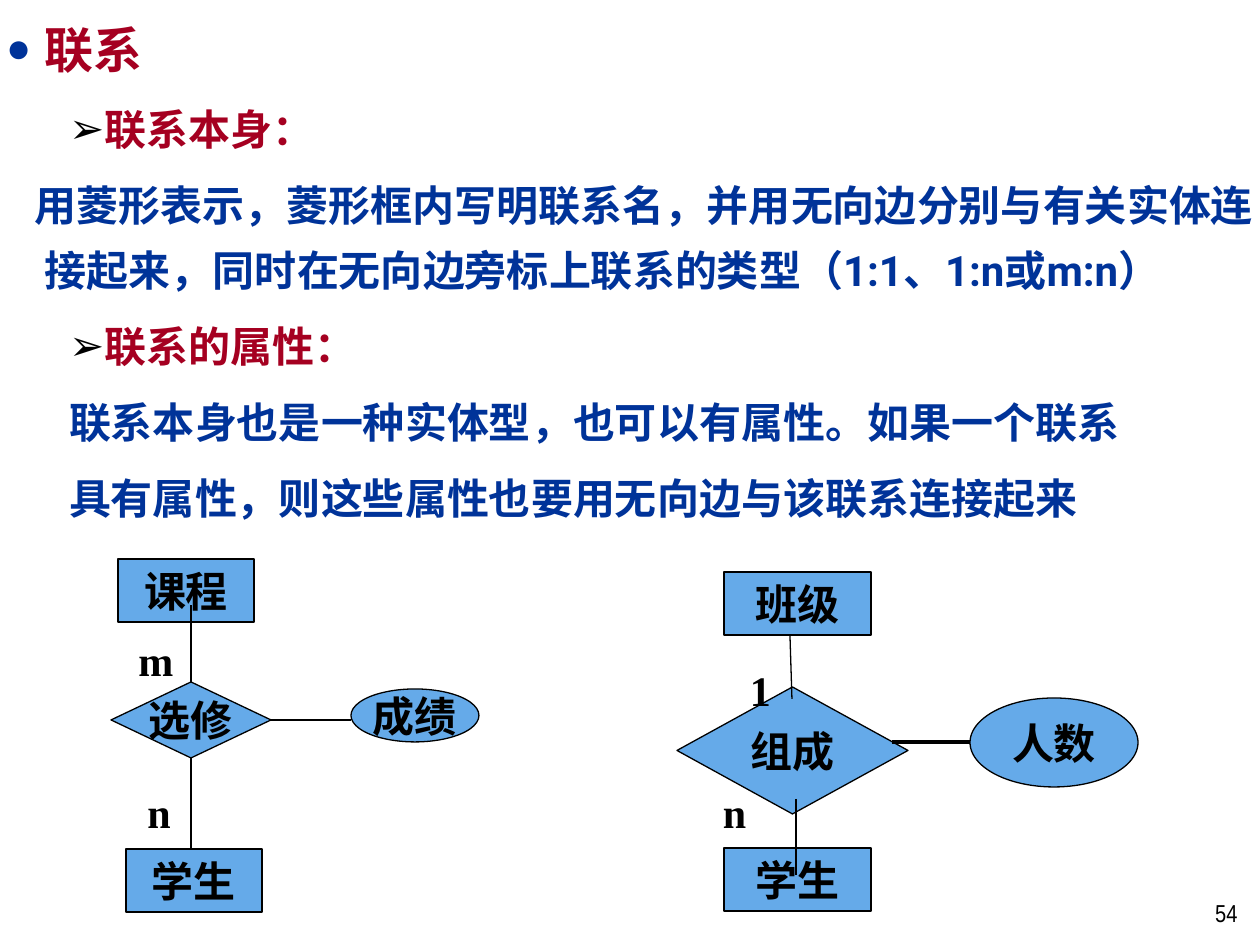
from lxml import etree
from pptx import Presentation, util as u
from pptx.dml.color import RGBColor
from pptx.enum import shapes, text
from pptx.oxml.ns import qn

HUES = {"blue": "003399", "red": "A50021", "black": "000000", "node": "65AAE9"}
KIND = shapes.MSO_SHAPE
MID = text.MSO_ANCHOR.MIDDLE
TOP = text.MSO_ANCHOR.TOP


def px(n):
    return round(n * 914400 / 126)


def hue(name):
    return RGBColor.from_string(HUES[name])


def style(para, size, face, color, bold=True):
    font = para.font
    font.size, font.name, font.bold = u.Pt(size), face, bold
    font.color.rgb = hue(color)


def write(shape, words, size=24, face="Times New Roman", bold=True,
          align=text.PP_ALIGN.CENTER, wrap=True, anchor=MID):
    frame = shape.text_frame
    frame.word_wrap, frame.vertical_anchor = wrap, anchor
    para = frame.paragraphs[0]
    para.text, para.alignment = words, align
    style(para, size, face, "black", bold)


def node(group, kind, words, box):
    shape = group.shapes.add_shape(kind, *map(px, box))
    shape.shadow.inherit = False
    shape.fill.solid()
    shape.fill.fore_color.rgb = hue("node")
    shape.line.color.rgb = hue("black")
    shape.line.width = u.Pt(0.75)
    write(shape, words, wrap=False)
    return shape


def label(group, words, box):
    write(group.shapes.add_textbox(*map(px, box)), words)


def edge(group, ends, width=0.75, join=None):
    line = group.shapes.add_connector(
        shapes.MSO_CONNECTOR.STRAIGHT, *map(px, ends))
    line.line.color.rgb = hue("black")
    line.line.width = u.Pt(width)
    etree.SubElement(line._element.spPr, qn("a:effectLst"))
    if join:
        line.begin_connect(*join)


def bullet(para, mark, color, left, indent, scale=100):
    props = para._p.get_or_add_pPr()
    props.set("marL", str(px(left)))
    props.set("indent", str(px(indent)))
    if not mark:
        etree.SubElement(props, qn("a:buNone"))
        return
    tint = etree.SubElement(props, qn("a:buClr"))
    etree.SubElement(tint, qn("a:srgbClr"), val=HUES[color])
    etree.SubElement(props, qn("a:buSzPct"), val=str(scale * 1000))
    etree.SubElement(props, qn("a:buChar"), char=mark)


def outline(body):
    body.left, body.top, body.width, body.height = map(px, (-82, 0, 1368, 605))
    frame = body.text_frame
    frame.word_wrap = True
    frame.auto_size = text.MSO_AUTO_SIZE.NONE
    frame.vertical_anchor = TOP
    frame.margin_left = frame.margin_right = px(25)
    frame.margin_top = frame.margin_bottom = px(19)
    rows = [
        ("联系", 0, "●", "red", 102, -39),
        ("联系本身：", 1, "➢", "red", 158, -32),
        ("用菱形表示，菱形框内写明联系名，并用无向边分别与有关实体连接起来，"
         "同时在无向边旁标上联系的类型（1:1、1:n或m:n）", 0, None, "blue", 102, -10),
        ("联系的属性：", 1, "➢", "red", 158, -32),
        ("联系本身也是一种实体型，也可以有属性。如果一个联系", 1, None, "blue", 158, -32),
        ("具有属性，则这些属性也要用无向边与该联系连接起来", 1, None, "blue", 158, -32),
    ]
    for i, (words, level, mark, color, left, indent) in enumerate(rows):
        para = frame.paragraphs[0] if i == 0 else frame.add_paragraph()
        para.text, para.level = words, level
        para.space_before = u.Pt(6 if i else 0)
        para.line_spacing = 1.3 if i else 1.0
        bullet(para, mark, "black" if level else "blue", left, indent,
               100 if level else 85)
        style(para, 24 if i else 28, "Roboto", color)


def course(slide):
    group = slide.shapes.add_group_shape()
    node(group, KIND.RECTANGLE, "课程", (118, 559, 136, 63))
    pick = node(group, KIND.DIAMOND, "选修", (111, 682, 160, 76))
    node(group, KIND.RECTANGLE, "学生", (126, 849, 136, 63))
    edge(group, (191, 682, 191, 605), join=(pick, 0))
    edge(group, (191, 758, 191, 849), join=(pick, 2))
    label(group, "m", (126, 628, 40, 63))
    label(group, "n", (135, 780, 40, 63))
    node(group, KIND.OVAL, "成绩", (351, 689, 128, 53))
    edge(group, (271, 720, 351, 720), join=(pick, 3))


def team(slide):
    group = slide.shapes.add_group_shape()
    node(group, KIND.FLOWCHART_DECISION, "组成", (677, 687, 231, 127))
    for words, top in (("班级", 572), ("学生", 848)):
        node(group, KIND.RECTANGLE, words, (724, top, 147, 63))
    label(group, "1", (724, 658, 73, 63))
    label(group, "n", (698, 780, 73, 63))
    edge(group, (790, 636, 792, 699))
    edge(group, (796, 799, 796, 875))
    node(group, KIND.OVAL, "人数", (970, 698, 168, 89))
    edge(group, (892, 742, 970, 742), width=2)


def main():
    deck = Presentation()
    deck.slide_width, deck.slide_height = px(1260), px(945)
    slide = deck.slides.add_slide(deck.slide_layouts[1])
    title = slide.shapes.title._element
    title.getparent().remove(title)
    outline(slide.placeholders[1])
    course(slide)
    team(slide)
    page = slide.shapes.add_textbox(*map(px, (1197, 892, 53, 42)))
    write(page, "54", 14, "Arial Narrow", False, text.PP_ALIGN.RIGHT, anchor=TOP)
    deck.save("out.pptx")


if __name__ == "__main__":
    main()
